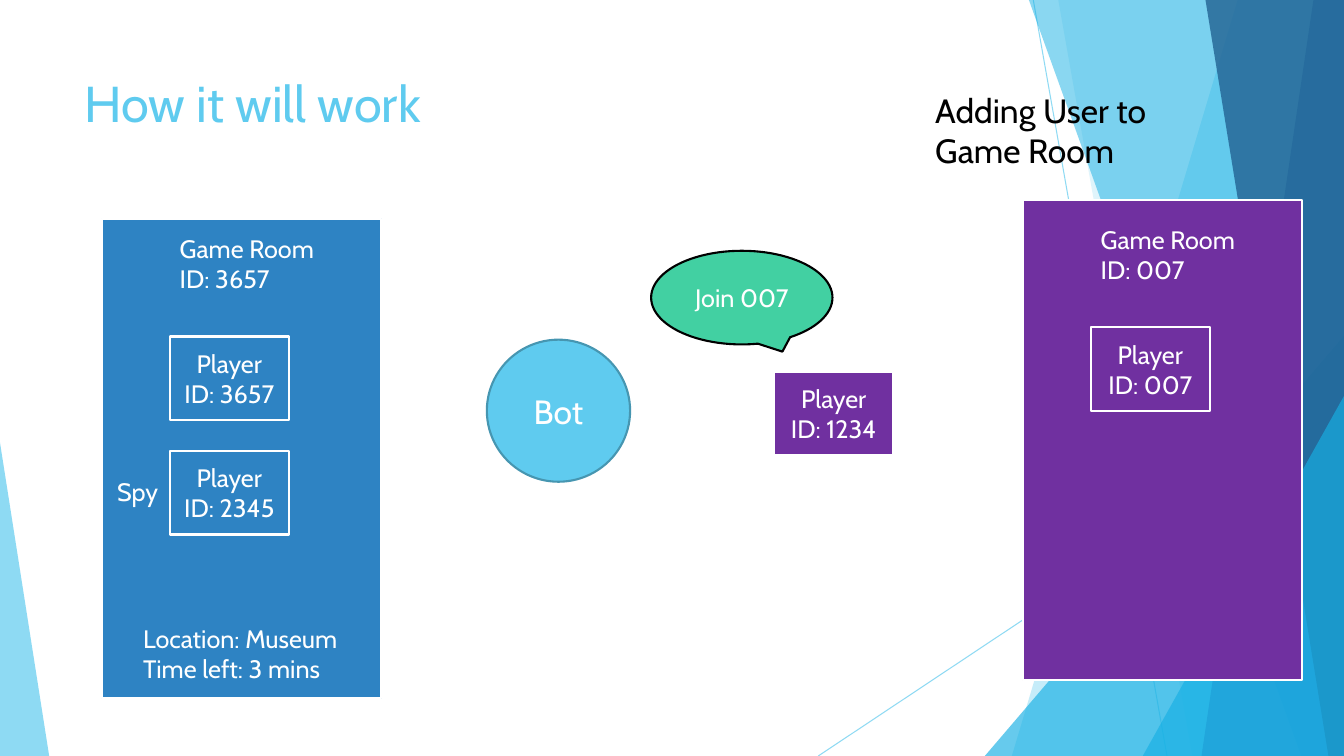
from dataclasses import dataclass

from lxml.etree import SubElement
from pptx import Presentation
from pptx.dml.color import RGBColor
from pptx.enum.shapes import MSO_CONNECTOR, MSO_SHAPE as Preset
from pptx.enum.text import MSO_ANCHOR as Anchor, PP_ALIGN as Align
from pptx.oxml.ns import qn
from pptx.util import Cm, Pt


@dataclass(frozen=True)
class Theme:
    font: str = "Cabin"
    title_size: int = 36
    large_size: int = 24
    body_size: int = 18
    outline: float = 1.5
    hairline: float = 0.75
    white: str = "FFFFFF"
    black: str = "000000"
    sky: str = "5FCBEF"
    sky_edge: str = "4696B1"
    cyan: str = "17B0E4"
    blue: str = "2E83C3"
    navy: str = "226292"
    purple: str = "7030A0"
    green: str = "42D0A2"


@dataclass(frozen=True)
class Box:
    """A rectangle in centimetres."""
    x: float
    y: float
    w: float
    h: float

    def inner(self, dx, dy, w, h):
        return Box(self.x + dx, self.y + dy, w, h)

    def emu(self):
        return Cm(self.x), Cm(self.y), Cm(self.w), Cm(self.h)


THEME = Theme()
PAGE = Box(0, 0, 33.87, 19.05)
PLAYER_SIZE = (3, 2.11)


def rgb(code):
    return RGBColor.from_string(code)


def set_opacity(shape, percent):
    for colour in shape._element.spPr.iter(qn("a:srgbClr")):
        SubElement(colour, qn("a:alpha"), val=str(percent * 1000))


def paint(shape, fill, edge=None, opacity=100):
    shape.shadow.inherit = False
    shape.fill.solid()
    shape.fill.fore_color.rgb = rgb(fill)
    if edge:
        shape.line.color.rgb = rgb(edge)
        shape.line.width = Pt(THEME.outline)
    else:
        shape.line.fill.background()
    if opacity < 100:
        set_opacity(shape, opacity)


def write(shape, paragraphs, size, colour, align, anchor):
    """Each paragraph is a string; a newline in it is a line break."""
    frame = shape.text_frame
    frame.word_wrap = True
    frame.vertical_anchor = anchor
    for i, content in enumerate(paragraphs):
        paragraph = frame.add_paragraph() if i else frame.paragraphs[0]
        paragraph.alignment = align
        for j, words in enumerate(content.split("\n")):
            if j:
                paragraph.add_line_break()
            run = paragraph.add_run()
            run.text = words
            run.font.name = THEME.font
            run.font.size = Pt(size)
            run.font.color.rgb = rgb(colour)


def label(slide, box, *paragraphs, size=THEME.body_size, colour=THEME.white):
    write(slide.shapes.add_textbox(*box.emu()), paragraphs, size, colour,
          Align.LEFT, Anchor.TOP)


def figure(slide, preset, box, fill, edge, *paragraphs, size=THEME.body_size):
    shape = slide.shapes.add_shape(preset, *box.emu())
    paint(shape, fill, edge)
    write(shape, paragraphs, size, THEME.white, Align.CENTER, Anchor.MIDDLE)
    return shape


def player(slide, box, number, fill):
    figure(slide, Preset.RECTANGLE, box, fill, THEME.white,
           "Player", f"ID: {number}")


# Decorative facets at the page edges
def ray(slide, start, end):
    line = slide.shapes.add_connector(
        MSO_CONNECTOR.STRAIGHT, *(Cm(v) for v in (*start, *end)))
    line.line.color.rgb = rgb(THEME.sky)
    line.line.width = Pt(THEME.hairline)
    set_opacity(line, 70)
    SubElement(line._element.spPr, qn("a:effectLst"))


def band(slide, page, top_x, bottom_x, fill, opacity):
    """Fill the page to the right of a slanted edge."""
    right, bottom = Cm(page.x + page.w), Cm(page.y + page.h)
    outline = slide.shapes.build_freeform(Cm(page.x + top_x), Cm(page.y))
    outline.add_line_segments([(right, Cm(page.y)), (right, bottom),
                               (Cm(page.x + bottom_x), bottom)])
    paint(outline.convert_to_shape(), fill, opacity=opacity)


def corner(slide, page, left, width, height, apex, fill, opacity):
    """Stand a triangle on the page's bottom edge."""
    box = page.inner(left, page.h - height, width, height)
    triangle = slide.shapes.add_shape(Preset.ISOSCELES_TRIANGLE, *box.emu())
    triangle.adjustments[0] = apex
    paint(triangle, fill, opacity=opacity)


def backdrop(slide, page):
    bottom, right = page.y + page.h, page.x + page.w
    ray(slide, (page.x + 26.04, page.y), (page.x + 29.41, bottom))
    ray(slide, (right, page.y + 10.24), (page.x + 20.62, bottom))
    band(slide, page, 31.19, 25.5, THEME.sky, 36)
    band(slide, page, 26.67, 30.05, THEME.sky, 20)
    corner(slide, page, 24.82, 9.05, 10.59, 1, THEME.cyan, 66)
    band(slide, page, 25.93, 32.79, THEME.cyan, 50)
    band(slide, page, 33.1, 30.28, THEME.blue, 70)
    band(slide, page, 30.38, 33.48, THEME.navy, 80)
    corner(slide, page, 28.8, 5.07, 9.07, 1, THEME.cyan, 66)
    corner(slide, page, 0, 1.24, 7.9, 0, THEME.sky, 70)


# Game room: heading, then players stacked at an equal pitch
def game_room(slide, box, number, players, fill, top):
    indent, pitch = 1.71, 2.88
    figure(slide, Preset.RECTANGLE, box, fill, THEME.white)
    label(slide, box.inner(indent, top, 4.6, 1.8),
          "Game Room", f"ID: {number}")
    for i, player_id in enumerate(players):
        place = box.inner(indent, top + 2.72 + i * pitch, *PLAYER_SIZE)
        player(slide, place, player_id, fill)


def running_room(slide, box):
    game_room(slide, box, "3657", ["3657", "2345"], THEME.blue, 0.25)
    label(slide, box.inner(0.13, 6.38, 1.7, 1.02), "Spy")
    label(slide, box.inner(0.79, 10.06, 5.74, 1.8),
          "Location: Museum\nTime left: 3 mins")


# Chat between the bot and the joining player
def conversation(slide, box):
    figure(slide, Preset.OVAL, box.inner(0, 2.24, 3.61, 3.58), THEME.sky,
           THEME.sky_edge, "Bot", size=THEME.large_size)
    player(slide, box.inner(7.24, 3.05, *PLAYER_SIZE), "1234", THEME.purple)
    request = figure(slide, Preset.OVAL_CALLOUT, box.inner(4.14, 0, 4.57, 2.36),
                     THEME.green, THEME.black, "Join 007")
    request.adjustments[0] = 0.224
    request.adjustments[1] = 0.577


def headings(slide, page):
    label(slide, page.inner(1.88, 1.7, 23.88, 3.66), "How it will work",
          size=THEME.title_size, colour=THEME.sky)
    label(slide, page.inner(23.32, 2.13, 6.5, 2.31),
          "Adding User to Game Room",
          size=THEME.large_size, colour=THEME.black)


def main():
    deck = Presentation()
    deck.slide_width, deck.slide_height = Cm(PAGE.w), Cm(PAGE.h)
    slide = deck.slides.add_slide(deck.slide_layouts[6])
    backdrop(slide, PAGE)
    game_room(slide, Box(25.78, 5.05, 7.04, 12.09), "007", ["007"],
              THEME.purple, 0.48)
    running_room(slide, Box(2.57, 5.51, 7.04, 12.09))
    headings(slide, PAGE)
    conversation(slide, Box(12.27, 6.32, 10.24, 5.82))
    deck.save("out.pptx")


if __name__ == "__main__":
    main()
